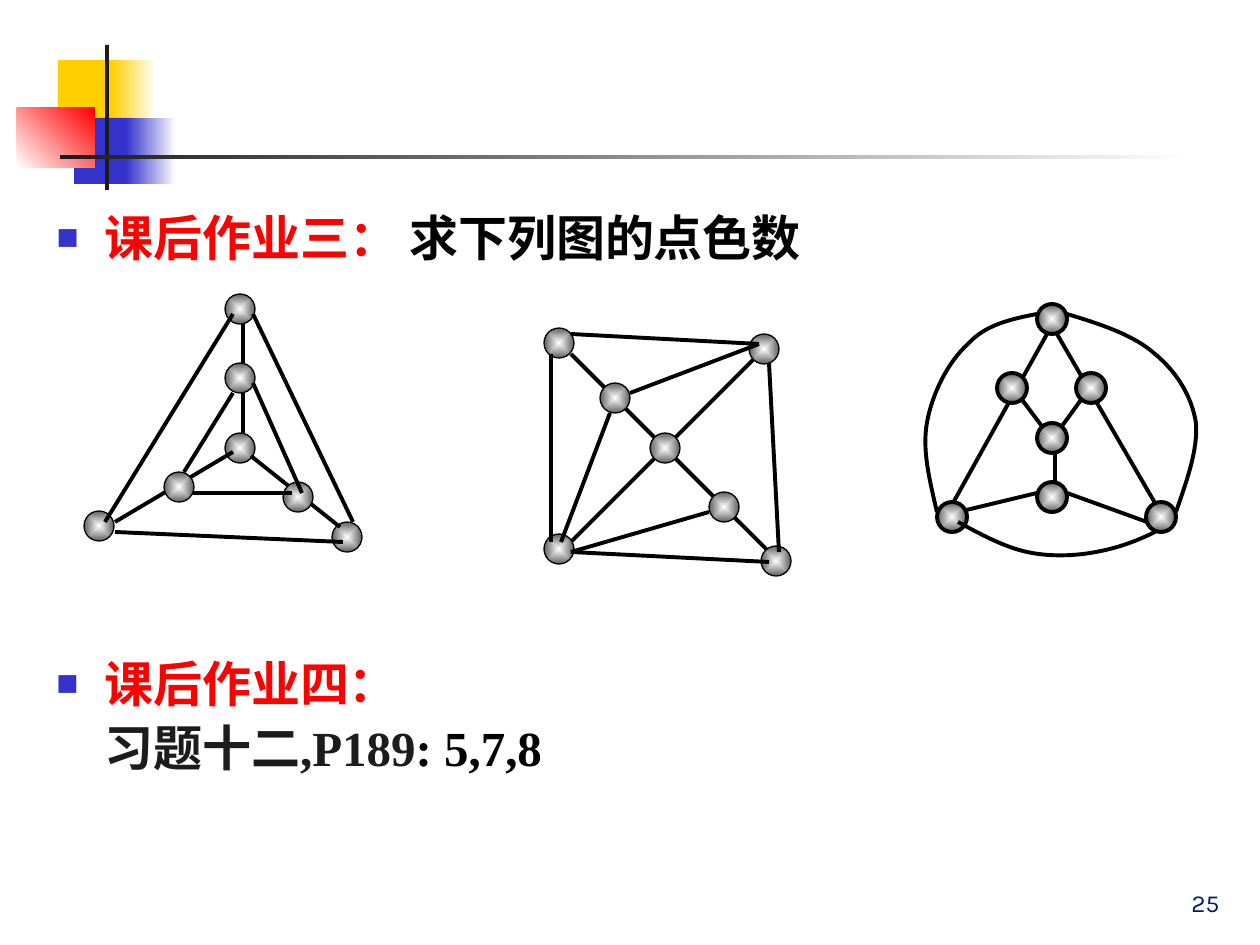
"""Build the homework slide with three graphs for vertex colouring."""
from dataclasses import dataclass
from typing import Any, Optional, Union

from pptx import Presentation
from pptx.dml.color import RGBColor
from pptx.enum.shapes import MSO_CONNECTOR, MSO_SHAPE
from pptx.enum.text import MSO_ANCHOR, MSO_AUTO_SIZE, PP_ALIGN
from pptx.oxml.ns import qn
from pptx.oxml.xmlchemy import OxmlElement
from pptx.util import Emu, Pt

RECTANGLE, OVAL = MSO_SHAPE.RECTANGLE, MSO_SHAPE.OVAL
STRAIGHT = MSO_CONNECTOR.STRAIGHT
LEFT, RIGHT = PP_ALIGN.LEFT, PP_ALIGN.RIGHT
TOP, BOTTOM = MSO_ANCHOR.TOP, MSO_ANCHOR.BOTTOM
NO_AUTOFIT = MSO_AUTO_SIZE.NONE
EMU_PER_PX = 914400 / 126
Point = tuple[int, int]


@dataclass(frozen=True)
class Theme:
    white: str = "FFFFFF"
    black: str = "000000"
    ink: str = "1C1C1C"
    red: str = "FF0000"
    yellow: str = "FFCF01"
    blue: str = "3333CC"
    navy: str = "002060"
    grey: str = "5F5F5F"
    text_font: str = "Times New Roman"
    number_font: str = "Karla"
    text_size: int = 28
    number_size: int = 14
    edge_width: float = 2.25
    thin_width: float = 0.75
    node_size: int = 30
    indent: int = 48


THEME = Theme()


@dataclass(frozen=True)
class Block:
    left: int
    top: int
    width: int
    height: int
    color: str
    fade_to: Optional[str] = None
    angle: int = 0


@dataclass(frozen=True)
class Node:
    left: int
    top: int


@dataclass(frozen=True)
class Edge:
    start: Point
    end: Point


@dataclass(frozen=True)
class Arc:
    start: Point
    controls: tuple[Point, ...]


@dataclass(frozen=True)
class Graph:
    outline: float
    members: tuple[Union[Node, Edge, Arc], ...]


@dataclass(frozen=True)
class Line:
    runs: tuple[tuple[str, str], ...]
    bullet: bool = True


BLOCKS = (
    Block(58, 60, 60, 66, THEME.yellow),
    Block(111, 60, 45, 66, THEME.yellow, THEME.white),
    Block(74, 118, 58, 66, THEME.blue),
    Block(126, 118, 50, 66, THEME.blue, THEME.white),
    Block(17, 108, 78, 60, THEME.white, THEME.red, 45),
    Block(105, 45, 4, 145, THEME.ink),
    Block(60, 155, 1134, 4, THEME.ink, THEME.white),
)

GRAPHS = (
    Graph(THEME.thin_width, (
        Edge((243, 324), (243, 433)),
        Node(225, 363), Node(84, 511), Node(225, 433), Node(225, 294), Node(332, 522),
        Edge((343, 542), (115, 532)), Edge((115, 522), (233, 452)),
        Edge((340, 527), (251, 456)), Edge((105, 522), (233, 314)),
        Edge((353, 522), (253, 314)),
        Node(283, 482), Node(164, 472),
        Edge((233, 393), (184, 472)), Edge((253, 383), (302, 493)),
        Edge((193, 493), (292, 493)),
    )),
    Graph(THEME.thin_width, (
        Edge((571, 542), (759, 354)), Node(544, 328),
        Edge((571, 354), (769, 552)),
        Node(761, 546), Node(600, 383), Node(650, 433), Node(709, 492),
        Node(544, 534), Node(749, 334),
        Edge((551, 354), (551, 542)), Edge((571, 334), (759, 344)),
        Edge((610, 413), (561, 542)), Edge((630, 393), (759, 344)),
        Edge((571, 552), (709, 512)), Edge((571, 552), (769, 562)),
        Edge((769, 363), (779, 552)),
    )),
    Graph(THEME.edge_width, (
        Edge((1017, 393), (1047, 433)), Edge((1057, 433), (1086, 393)),
        Edge((958, 512), (1037, 493)), Edge((1055, 452), (1055, 493)),
        Node(1037, 304),
        Edge((1047, 334), (948, 512)), Edge((1057, 334), (1166, 522)),
        Node(1037, 423), Node(997, 373), Node(1076, 373), Node(1037, 482),
        Node(937, 502), Node(1146, 502),
        Edge((1067, 493), (1147, 522)),
        Arc((1037, 314), ((1011, 319), (985, 325), (968, 344), (948, 362), (932, 394),
                          (927, 423), (922, 451), (930, 481), (937, 512))),
        Arc((958, 522), ((980, 534), (1004, 547), (1027, 552), (1050, 557), (1075, 556),
                         (1096, 552), (1118, 548), (1137, 541), (1155, 532))),
        Arc((1067, 314), ((1100, 324), (1134, 335), (1155, 354), (1177, 372), (1192, 397),
                          (1196, 423), (1198, 450), (1187, 480), (1176, 512))),
    )),
)

THIRD_TASK = (Line((("课后作业三：", THEME.red), (" 求下列图的点色数", THEME.black))),)
FOURTH_TASK = (
    Line((("课后作业四：", THEME.red),)),
    Line((("习题十二,P189", THEME.ink), (": 5,7,8", THEME.black)), bullet=False),
)


def px(*lengths: int) -> list[Emu]:
    return [Emu(round(length * EMU_PER_PX)) for length in lengths]


def rgb(color: str) -> RGBColor:
    return RGBColor.from_string(color)


def set_line(shape: Any, width: float) -> None:
    shape.line.color.rgb = rgb(THEME.black)
    shape.line.width = Pt(width)


def set_gradient(shape: Any, first: str, last: str, angle: int = 0) -> None:
    shape.fill.gradient()
    shape.fill.gradient_angle = angle
    for stop, color in zip(shape.fill.gradient_stops, (first, last)):
        stop.color.rgb = rgb(color)


def draw_block(shapes: Any, block: Block) -> None:
    shape = shapes.add_shape(RECTANGLE, *px(block.left, block.top, block.width, block.height))
    shape.shadow.inherit = False
    shape.line.fill.background()
    if block.fade_to:
        set_gradient(shape, block.color, block.fade_to, block.angle)
    else:
        shape.fill.solid()
        shape.fill.fore_color.rgb = rgb(block.color)


def draw_node(shapes: Any, node: Node, outline: float) -> None:
    shape = shapes.add_shape(OVAL, *px(node.left, node.top, THEME.node_size, THEME.node_size))
    shape.shadow.inherit = False
    set_gradient(shape, THEME.white, THEME.grey)
    gradient = shape._element.spPr.find(qn("a:gradFill"))
    radial = OxmlElement("a:path")
    radial.set("path", "shape")
    center = OxmlElement("a:fillToRect")
    for side in "ltrb":
        center.set(side, "50000")
    radial.append(center)
    gradient.replace(gradient.find(qn("a:lin")), radial)
    set_line(shape, outline)


def draw_edge(shapes: Any, edge: Edge) -> None:
    connector = shapes.add_connector(STRAIGHT, *px(*edge.start, *edge.end))
    set_line(connector, THEME.edge_width)
    connector._element.spPr.append(OxmlElement("a:effectLst"))


def draw_arc(shapes: Any, arc: Arc) -> None:
    builder = shapes.build_freeform(*arc.start, scale=EMU_PER_PX)
    builder.add_line_segments(arc.controls, close=False)
    shape = builder.convert_to_shape()
    shape.shadow.inherit = False
    shape.fill.background()
    set_line(shape, THEME.edge_width)
    segments = list(shape._element.spPr.iter(qn("a:lnTo")))
    for first in range(0, len(segments), 3):
        curve = OxmlElement("a:cubicBezTo")
        segments[first].addprevious(curve)
        for segment in segments[first:first + 3]:
            curve.append(segment[0])
            segment.getparent().remove(segment)


def draw_graph(slide: Any, graph: Graph) -> None:
    shapes = slide.shapes.add_group_shape().shapes
    for member in graph.members:
        if isinstance(member, Node):
            draw_node(shapes, member, graph.outline)
        elif isinstance(member, Edge):
            draw_edge(shapes, member)
        else:
            draw_arc(shapes, member)


def set_bullet(paragraph: Any, bullet: bool) -> None:
    properties = paragraph._p.get_or_add_pPr()
    indent = px(THEME.indent)[0]
    properties.set("marL", str(indent))
    properties.set("indent", str(-indent if bullet else 0))
    if not bullet:
        properties.append(OxmlElement("a:buNone"))
        return
    color = OxmlElement("a:buClr")
    color.append(OxmlElement("a:srgbClr"))
    color[0].set("val", THEME.blue)
    properties.append(color)
    for tag, name, value in (("a:buSzPct", "val", "75000"), ("a:buFont", "typeface", "Arial"),
                             ("a:buChar", "char", "■")):
        element = OxmlElement(tag)
        element.set(name, value)
        properties.append(element)


def write_lines(shape: Any, lines: tuple[Line, ...]) -> None:
    frame = shape.text_frame
    frame.word_wrap = True
    frame.auto_size = NO_AUTOFIT
    frame.vertical_anchor = TOP
    frame.text = "\n".join("" for _ in lines)
    for paragraph, line in zip(frame.paragraphs, lines):
        set_bullet(paragraph, line.bullet)
        paragraph.alignment = LEFT
        paragraph.line_spacing = 1.1
        paragraph.space_before = Pt(0)
        for text, color in line.runs:
            run = paragraph.add_run()
            run.text = text
            run.font.name = THEME.text_font
            run.font.size = Pt(THEME.text_size)
            run.font.bold = True
            run.font.color.rgb = rgb(color)


def write_number(slide: Any, number: str) -> None:
    frame = slide.shapes.add_textbox(*px(970, 861, 262, 63)).text_frame
    frame.word_wrap = True
    frame.vertical_anchor = BOTTOM
    frame.text = number
    paragraph = frame.paragraphs[0]
    paragraph.alignment = RIGHT
    font = paragraph.runs[0].font
    font.name = THEME.number_font
    font.size = Pt(THEME.number_size)
    font.color.rgb = rgb(THEME.navy)


def main() -> None:
    presentation = Presentation()
    presentation.slide_width, presentation.slide_height = px(1260, 945)
    slide = presentation.slides.add_slide(presentation.slide_layouts[1])
    title, body = slide.placeholders
    title._element.getparent().remove(title._element)
    for block in BLOCKS:
        draw_block(slide.shapes, block)
    body.left, body.top, body.width, body.height = px(44, 195, 1171, 100)
    write_lines(body, THIRD_TASK)
    write_lines(slide.shapes.add_textbox(*px(44, 641, 1171, 208)), FOURTH_TASK)
    for graph in GRAPHS:
        draw_graph(slide, graph)
    write_number(slide, "25")
    presentation.save("out.pptx")


if __name__ == "__main__":
    main()
